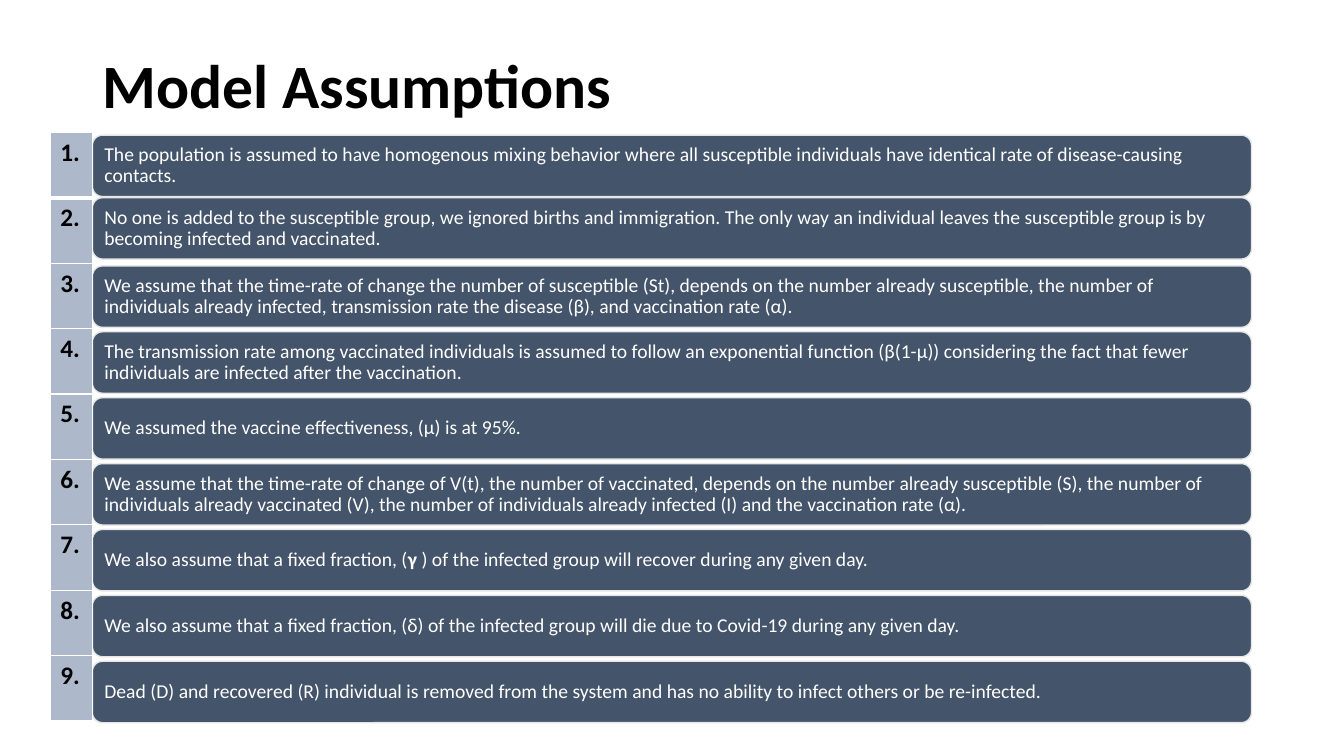
from lxml.etree import SubElement
from pptx import Presentation
from pptx.dml.color import RGBColor
from pptx.enum.shapes import MSO_SHAPE as Preset
from pptx.enum.text import MSO_ANCHOR as Anchor, PP_ALIGN as Align
from pptx.oxml.ns import qn
from pptx.util import Pt

FONT = "Calibri"
COLORS = {
    "ink": "000000",
    "paper": "FFFFFF",
    "bar": "44546A",
    "bar_edge": "E7E6E6",
    "number": "ADB9CA",
}
ASSUMPTIONS = [
    ["The population is assumed to have homogenous mixing behavior where all susceptible "
     "individuals have identical rate of disease-causing contacts."],
    ["No one is added to the susceptible group, we ignored births and immigration. The only way "
     "an individual leaves the susceptible group is by becoming infected and vaccinated."],
    ["We assume that the time-rate of change the number of susceptible (St), depends on the "
     "number already susceptible, the number of individuals already infected, transmission rate "
     "the disease (β), and vaccination rate (α)."],
    ["The transmission rate among vaccinated individuals is assumed to follow an exponential "
     "function (β(1-μ)) considering the fact that fewer individuals are infected after the "
     "vaccination."],
    ["We assumed the vaccine effectiveness, (μ) is at 95%."],
    ["We assume that the time-rate of change of V(t), the number of vaccinated, depends on the "
     "number already susceptible (S), the number of individuals already vaccinated (V), the "
     "number of individuals already infected (I) and the vaccination rate (α)."],
    ["We also assume that a fixed fraction, (", "γ",
     " ) of the infected group will recover during any given day."],
    ["We also assume that a fixed fraction, (δ) of the infected group will die due to Covid-19 "
     "during any given day."],
    ["Dead (D) and recovered (R) individual is removed from the system and has no ability to "
     "infect others or be re-infected."],
]
BOLD_SYMBOLS = {"γ"}
BAR_HEIGHT = 43.9
BAR_NUDGES = {0: 0.7, 1: -1.7}


def color(name):
    return RGBColor.from_string(COLORS[name])


def add_run(paragraph, text, size, color_name, bold=False):
    run = paragraph.add_run()
    run.text = text
    run.font.name = FONT
    run.font.size = Pt(size)
    run.font.bold = bold
    run.font.color.rgb = color(color_name)


def add_title(slide, left, top, width, height):
    frame = slide.shapes.add_textbox(Pt(left), Pt(top), Pt(width), Pt(height)).text_frame
    frame.word_wrap = True
    frame.vertical_anchor = Anchor.MIDDLE
    paragraph = frame.paragraphs[0]
    paragraph.line_spacing = 0.9
    add_run(paragraph, "Model Assumptions", 44, "ink", True)


def add_bar(slide, left, top, width, height, pieces):
    shape = slide.shapes.add_shape(Preset.ROUNDED_RECTANGLE, Pt(left), Pt(top), Pt(width), Pt(height))
    shape.shadow.inherit = False
    shape.fill.solid()
    shape.fill.fore_color.rgb = color("bar")
    shape.line.color.rgb = color("bar_edge")
    shape.line.width = Pt(1)
    frame = shape.text_frame
    frame.word_wrap = True
    frame.vertical_anchor = Anchor.MIDDLE
    frame.margin_left = frame.margin_right = Pt(6.5)
    frame.margin_top = frame.margin_bottom = Pt(4.3)
    paragraph = frame.paragraphs[0]
    paragraph.alignment = Align.LEFT
    paragraph.line_spacing = 0.9
    for piece in pieces:
        add_run(paragraph, piece, 14, "paper", piece in BOLD_SYMBOLS)


def add_bars(slide, left, top, width, height):
    pitch = (height - BAR_HEIGHT) / (len(ASSUMPTIONS) - 1)
    for index, pieces in enumerate(ASSUMPTIONS):
        bar_top = top + index * pitch + BAR_NUDGES.get(index, 0)
        add_bar(slide, left, bar_top, width, BAR_HEIGHT, pieces)


def add_border(cell, side, width):
    properties = cell._tc.get_or_add_tcPr()
    line = SubElement(properties, qn(f"a:{side}"), w=str(Pt(width)))
    fill = SubElement(line, qn("a:solidFill"))
    SubElement(fill, qn("a:srgbClr"), val=COLORS["paper"])


def add_numbers(slide, left, top, width, height):
    count = len(ASSUMPTIONS)
    table = slide.shapes.add_table(count, 1, Pt(left), Pt(top), Pt(width), Pt(height)).table
    table.first_row = table.horz_banding = False
    for index, row in enumerate(table.rows):
        row.height = Pt(height / count)
        cell = row.cells[0]
        widths = {"lnL": 1, "lnR": 1, "lnT": 3 if index == 1 else 1, "lnB": 3 if index == 0 else 1}
        for side, line_width in widths.items():
            add_border(cell, side, line_width)
        cell.fill.solid()
        cell.fill.fore_color.rgb = color("number")
        cell.margin_right = Pt(0)
        add_run(cell.text_frame.paragraphs[0], f"{index + 1}.", 18, "ink", True)


def add_assumptions_slide(presentation):
    slide = presentation.slides.add_slide(presentation.slide_layouts[6])
    add_title(slide, 66, 28.8, 828, 68.4)
    add_bars(slide, 66, 95.8, 828, 420.4)
    add_numbers(slide, 36, 94.5, 30, 420.5)


presentation = Presentation()
presentation.slide_width = Pt(960)
presentation.slide_height = Pt(540)
add_assumptions_slide(presentation)
presentation.save("out.pptx")
